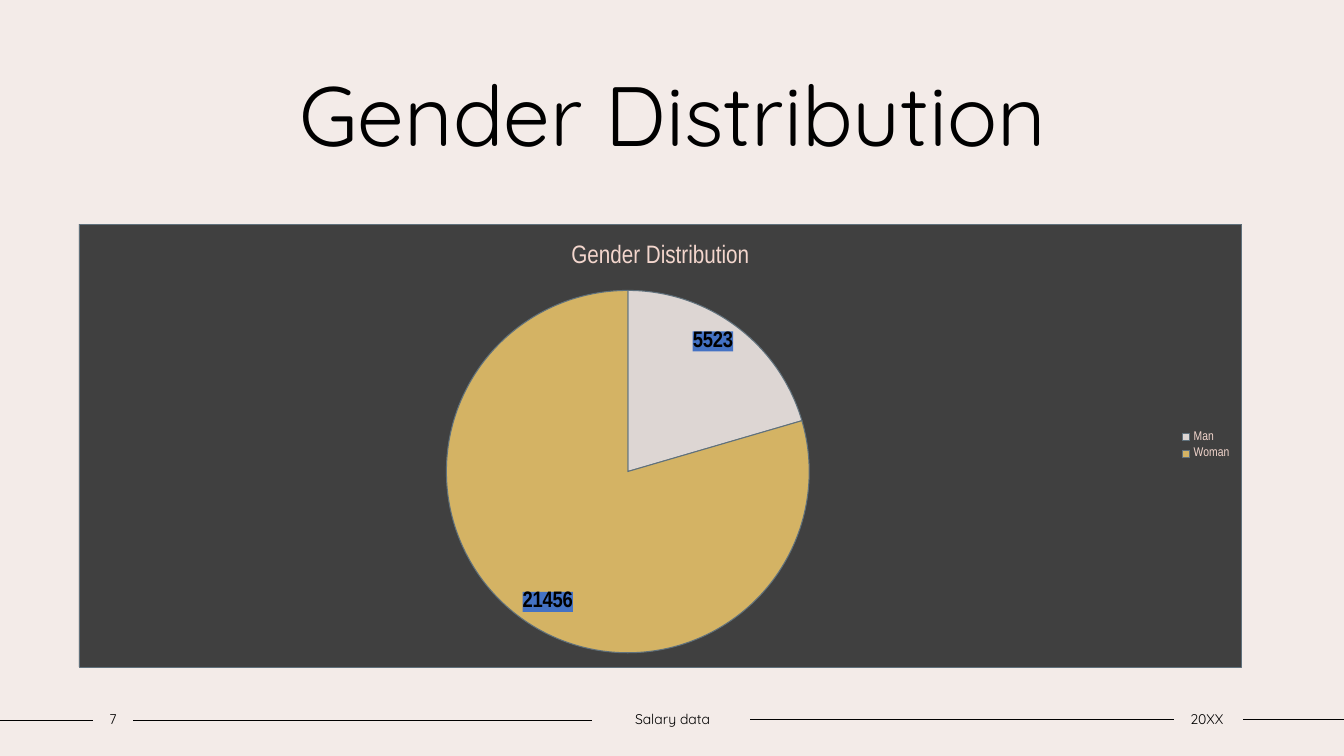
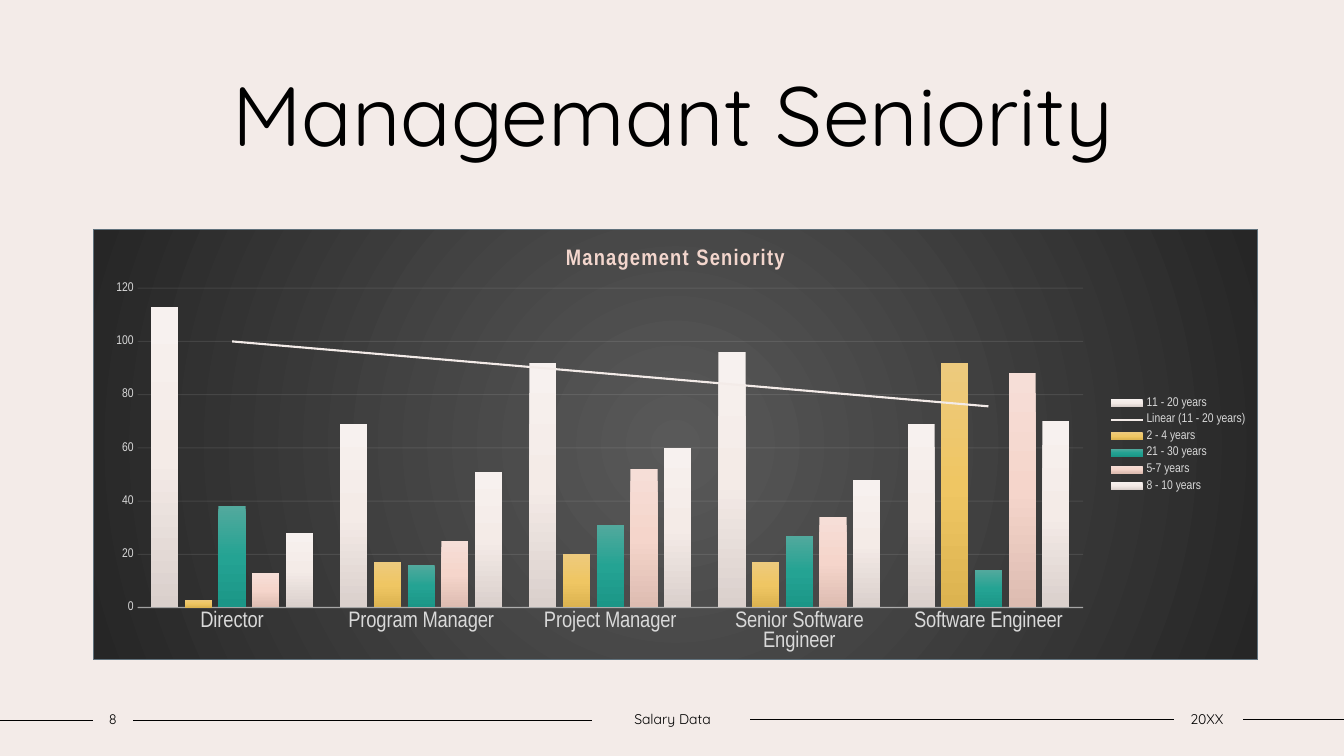
"""Build two salary data slides: a gender pie and a seniority column chart."""
from lxml.etree import SubElement
from pptx import Presentation
from pptx.chart.data import CategoryChartData
from pptx.dml.color import RGBColor
from pptx.enum.chart import XL_CHART_TYPE, XL_LABEL_POSITION, XL_LEGEND_POSITION, XL_TICK_MARK
from pptx.enum.shapes import MSO_CONNECTOR
from pptx.enum.text import MSO_ANCHOR, PP_ALIGN
from pptx.oxml import parse_xml
from pptx.oxml.ns import nsdecls, qn
from pptx.util import Inches, Pt

COLORS = {
    "page": "F3EBE8", "ink": "000000", "border": "60717C", "blush": "F3D6CD",
    "gray": "D9D9D9", "axis": "F2F2F2", "panel": "404040", "gold": "E9C369",
    "label": "4472C4",
}
TEXT_FONT, CHART_FONT = "Quicksand", "Arial Narrow"

CREAM_STOPS = ("F7F1EF", "F4EBE7", "DAD0CC")
PANEL_STOPS = ("595959", "262626")
LINEAR = '<a:lin ang="5400000" scaled="0"/>'
RADIAL = '<a:path path="circle"><a:fillToRect l="50000" t="50000" r="50000" b="50000"/></a:path>'

FOOTER_LINES = [(0, 0.92, 7.15), (1.32, 5.87, 7.15), (7.44, 11.64, 7.14), (12.33, 13.33, 7.14)]
FOOTER_BOXES = [(0.92, 0.4), (5.87, 1.6), (11.62, 0.7)]

GENDER = {
    "title": "Gender Distribution",
    "categories": ["Man", "Woman"],
    "series": [("Series 1", (5523, 21456), ("page", "gold"))],
    "kind": XL_CHART_TYPE.PIE,
    "place": (0.78, 2.22, 11.54, 4.4),
    "plot": {"x": 0.316, "y": 0.149, "w": 0.312, "h": 0.82},
    "title_font": {"size": Pt(18), "bold": False},
    "legend_color": "blush",
    "border_width": 0.5,
}
SENIORITY = {
    "title": "Management Seniority",
    "categories": ["Director", "Program Manager", "Project Manager",
                   "Senior Software Engineer", "Software Engineer"],
    "series": [
        ("11 - 20 years", (113, 69, 92, 96, 69), CREAM_STOPS),
        ("2 - 4 years", (3, 17, 20, 17, 92), ("EDCA7D", "EFC663", "DCB350")),
        ("21 - 30 years", (38, 16, 31, 27, 14), ("52A99D", "24A393", "1B9687")),
        ("5-7 years", (13, 25, 52, 34, 88), ("F6DED7", "F5D5CB", "DDBCB1")),
        ("8 - 10 years", (28, 51, 60, 48, 70), CREAM_STOPS),
    ],
    "kind": XL_CHART_TYPE.COLUMN_CLUSTERED,
    "place": (0.92, 2.27, 11.56, 4.28),
    "plot": {"x": 0.038, "y": 0.137, "w": 0.812, "h": 0.742},
    "title_font": {"size": Pt(16), "bold": True},
    "title_spacing": 100,
    "legend_color": "gray",
    "border_width": 0.75,
}


def rgb(name):
    return RGBColor.from_string(COLORS[name])


def style_font(font, color, **values):
    for key, value in values.items():
        setattr(font, key, value)
    font.color.rgb = rgb(color)


def style_line(line, color, width):
    line.color.rgb = rgb(color)
    line.width = Pt(width)


def fade(element, percent):
    for color in element.iter(qn("a:srgbClr")):
        SubElement(color, qn("a:alpha")).set("val", str(percent * 1000))


def solid_xml(color):
    return f'<a:solidFill><a:srgbClr val="{COLORS[color]}"/></a:solidFill>'


def gradient_xml(stops, direction):
    step = 100000 // (len(stops) - 1)
    marks = "".join(f'<a:gs pos="{index * step}"><a:srgbClr val="{color}"/></a:gs>'
                    for index, color in enumerate(stops))
    return f'<a:gradFill rotWithShape="1"><a:gsLst>{marks}</a:gsLst>{direction}</a:gradFill>'


def chart_xml(tag, content):
    return parse_xml(f'<c:{tag} {nsdecls("c", "a")}>{content}</c:{tag}>')


def line_xml(color, width):
    return f'<a:ln w="{Pt(width)}">{solid_xml(color)}</a:ln>'


def add_text(page, place, text, size, **margins):
    box = page.shapes.add_textbox(*map(Inches, place))
    frame = box.text_frame
    frame.word_wrap = True
    frame.vertical_anchor = MSO_ANCHOR.MIDDLE
    for key, value in margins.items():
        setattr(frame, key, value)
    para = frame.paragraphs[0]
    para.alignment = PP_ALIGN.CENTER
    span = para.add_run()
    span.text = text
    style_font(span.font, "ink", name=TEXT_FONT, size=Pt(size))


def add_page(deck, title, footers):
    page = deck.slides.add_slide(deck.slide_layouts[6])
    for start, end, height in FOOTER_LINES:
        rule = page.shapes.add_connector(
            MSO_CONNECTOR.STRAIGHT, *map(Inches, (start, height, end, height)))
        style_line(rule.line, "ink", 1)
        SubElement(rule._element.spPr, qn("a:effectLst"))
    add_text(page, (1.25, 0.56, 10.84, 1.11), title, 60)
    for (left, width), text in zip(FOOTER_BOXES, footers):
        add_text(page, (left, 7, width, 0.27), text, 10, margin_left=0, margin_right=0)
    return page


def add_chart(page, content, background):
    data = CategoryChartData()
    data.categories = content["categories"]
    for name, values, _ in content["series"]:
        data.add_series(name, values)
    chart = page.shapes.add_chart(
        content["kind"], *map(Inches, content["place"]), data).chart
    style_font(chart.font, "ink", name=CHART_FONT, size=Pt(10))

    chart.has_title = True
    para = chart.chart_title.text_frame.paragraphs[0]
    span = para.add_run()
    span.text = content["title"]
    style_font(span.font, "blush", name=CHART_FONT, **content["title_font"])
    if "title_spacing" in content:
        span.font._element.set("spc", str(content["title_spacing"]))

    chart.has_legend = True
    chart.legend.position = XL_LEGEND_POSITION.RIGHT
    chart.legend.include_in_layout = False
    style_font(chart.legend.font, content["legend_color"], name=CHART_FONT, size=Pt(9))

    area = chart.element.find(qn("c:chart"))
    area.addnext(chart_xml("spPr", background + line_xml("border", content["border_width"])))
    plot_area = area.find(qn("c:plotArea"))
    for layout in plot_area.findall(qn("c:layout")):
        plot_area.remove(layout)
    parts = '<c:layoutTarget val="inner"/><c:xMode val="edge"/><c:yMode val="edge"/>'
    parts += "".join(f'<c:{key} val="{value}"/>' for key, value in content["plot"].items())
    plot_area.insert(0, chart_xml("layout", f"<c:manualLayout>{parts}</c:manualLayout>"))
    return chart


def add_gender_chart(page):
    chart = add_chart(page, GENDER, solid_xml("panel"))
    series = chart.plots[0].series[0]
    for index, color in enumerate(GENDER["series"][0][2]):
        look = series.points[index].format
        look.fill.solid()
        look.fill.fore_color.rgb = rgb(color)
    for point in series._element.findall(qn("c:dPt")):
        fade(point, 88)
    for index in range(len(GENDER["categories"])):
        style_line(series.points[index].format.line, "border", 0.75)
    labels = series.data_labels
    labels.show_value = True
    labels.show_percentage = False
    labels.position = XL_LABEL_POSITION.INSIDE_END
    style_font(labels.font, "ink", name=CHART_FONT, size=Pt(16), bold=True)
    labels._element.find(qn("c:txPr")).addprevious(chart_xml("spPr", solid_xml("label")))


def add_seniority_chart(page):
    chart = add_chart(page, SENIORITY, gradient_xml(PANEL_STOPS, RADIAL))
    plot = chart.plots[0]
    plot.vary_by_categories = False
    plot.gap_width, plot.overlap = 100, -24
    for series, (_, _, stops) in zip(plot.series, SENIORITY["series"]):
        series.format.line.fill.background()
        shade = chart_xml("spPr", gradient_xml(stops, LINEAR))[0]
        series._element.find(qn("c:spPr")).insert(0, shade)
    trend = f'<c:spPr>{line_xml("page", 1.5)}</c:spPr><c:trendlineType val="linear"/>'
    trend += '<c:dispRSqr val="0"/><c:dispEq val="0"/>'
    plot.series[0]._element.find(qn("c:cat")).addprevious(chart_xml("trendline", trend))

    for axis, size in ((chart.category_axis, 16), (chart.value_axis, 9)):
        axis.major_tick_mark = axis.minor_tick_mark = XL_TICK_MARK.NONE
        style_font(axis.tick_labels.font, "gray", name=CHART_FONT, size=Pt(size))
    style_line(chart.category_axis.format.line, "axis", 1)
    fade(chart.category_axis._element.find(qn("c:spPr")), 54)
    values = chart.value_axis
    values.minimum_scale, values.maximum_scale, values.major_unit = 0, 120, 20
    values.format.line.fill.background()
    style_line(values.major_gridlines.format.line, "axis", 0.75)
    fade(values._element.find(qn("c:majorGridlines")), 10)


def main():
    deck = Presentation()
    deck.slide_width, deck.slide_height = Inches(13.33), Inches(7.5)
    paper = deck.slide_master.background.fill
    paper.solid()
    paper.fore_color.rgb = rgb("page")
    add_gender_chart(add_page(deck, "Gender Distribution", ("7", "Salary data", "20XX")))
    add_seniority_chart(add_page(deck, "Managemant Seniority", ("8", "Salary Data", "20XX")))
    deck.save("out.pptx")


if __name__ == "__main__":
    main()
